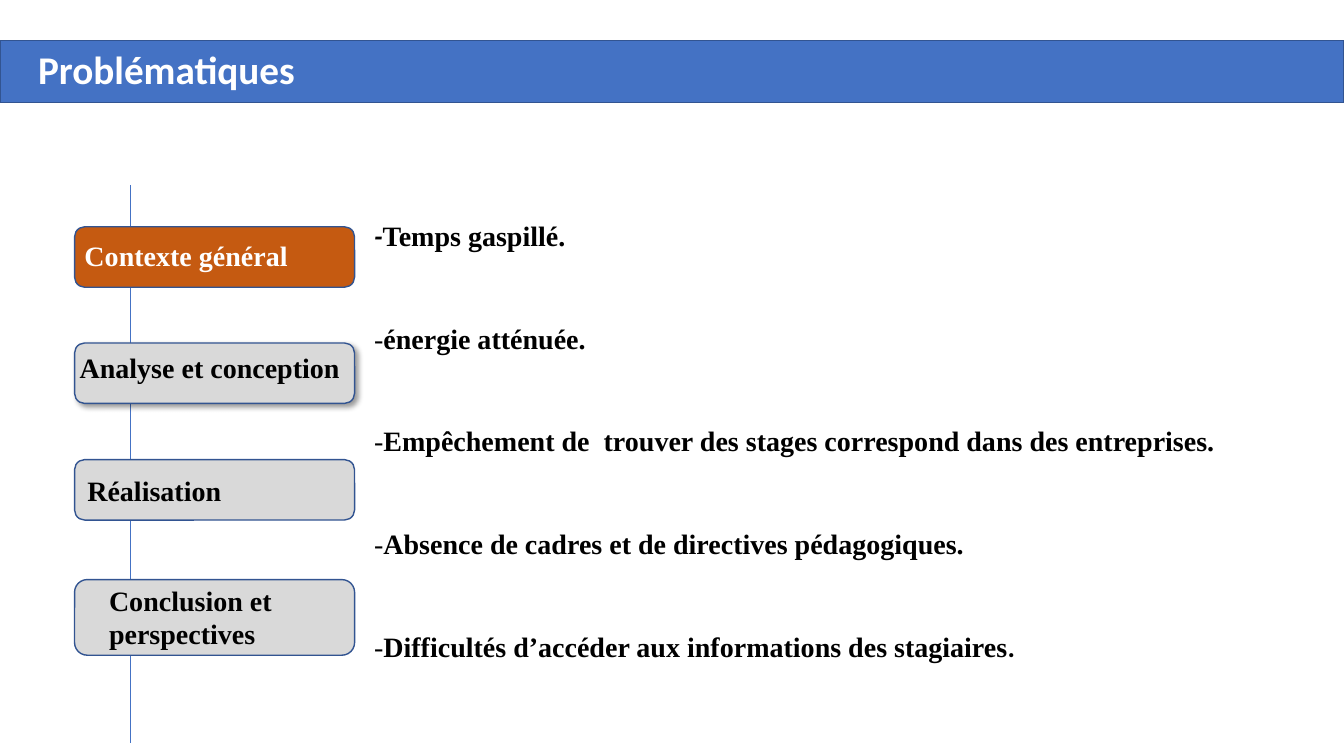
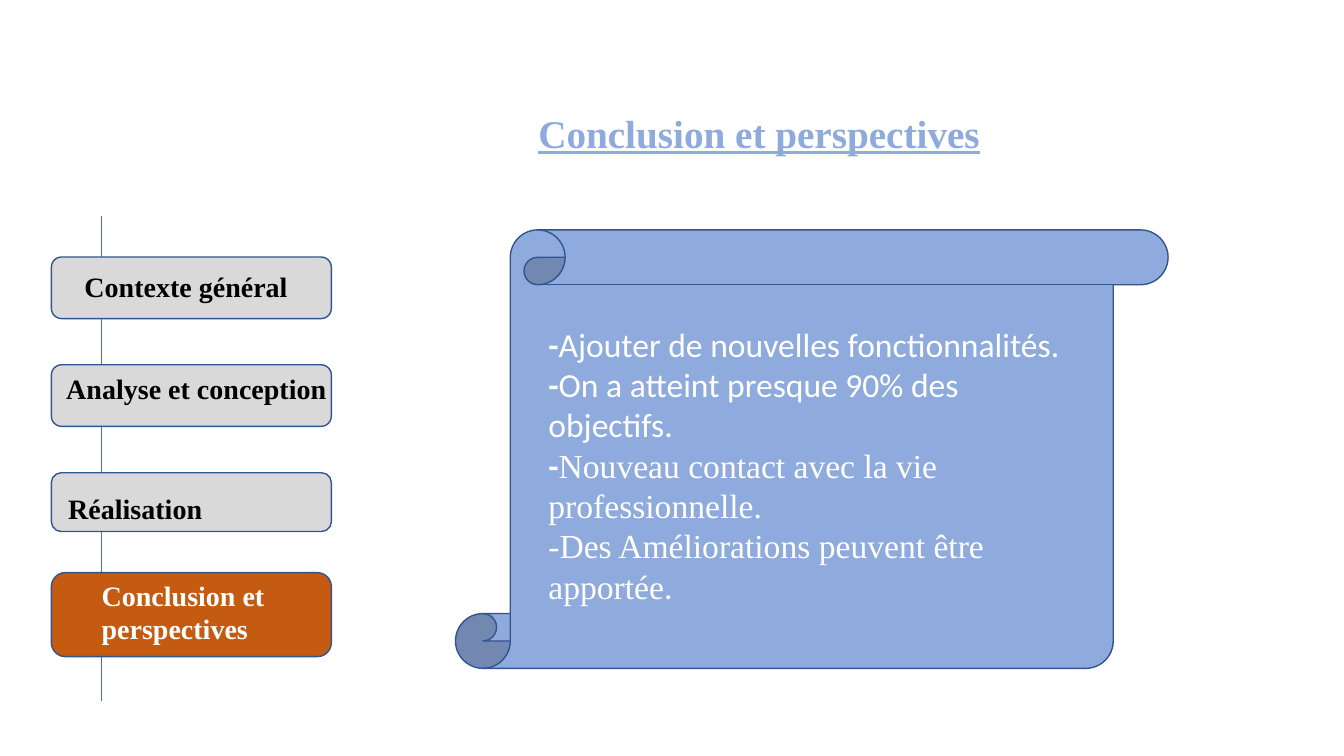
from lxml import etree
from pptx import Presentation
from pptx.dml.color import RGBColor
from pptx.enum.shapes import MSO_CONNECTOR, MSO_SHAPE
from pptx.enum.text import MSO_ANCHOR, MSO_AUTO_SIZE, PP_ALIGN
from pptx.oxml.ns import qn
from pptx.util import Pt

RECT = MSO_SHAPE.RECTANGLE
ROUND = MSO_SHAPE.ROUNDED_RECTANGLE
SCROLL = MSO_SHAPE.VERTICAL_SCROLL
LINE = MSO_CONNECTOR.STRAIGHT
TOP = MSO_ANCHOR.TOP
LEFT, JUST = PP_ALIGN.LEFT, PP_ALIGN.JUSTIFY
FIXED = MSO_AUTO_SIZE.NONE

BLUE = RGBColor(0x44, 0x72, 0xC4)
EDGE = RGBColor(0x32, 0x54, 0x91)
PALE = RGBColor(0x8F, 0xAA, 0xDC)
RUST = RGBColor(0xC5, 0x5A, 0x11)
GREY = RGBColor(0xD9, 0xD9, 0xD9)
WHITE = RGBColor(0xFF, 0xFF, 0xFF)
BLACK = RGBColor(0, 0, 0)
SANS, SERIF = "Calibri", "Times New Roman"
WIDE, HIGH = 960, 540

# Content: each list item is a row of runs (text, font, style)
STEPS = ["Contexte général", "Analyse et conception", "Réalisation",
         "Conclusion et perspectives"]
ISSUES = [
    [("-", SANS, "bi"), ("Temps gaspillé.", SERIF, "b")],
    [("-", SERIF, ""), ("énergie atténuée.", SERIF, "b")],
    [("-", SERIF, ""),
     ("Empêchement de  trouver des stages correspond dans des entreprises.",
      SERIF, "b")],
    [("-", SERIF, ""),
     ("Absence de cadres et de directives pédagogiques.", SERIF, "b")],
    [("-", SERIF, ""),
     ("Difficultés d’accéder aux informations des stagiaires", SERIF, "b"),
     (".", SANS, "bi")],
]
GOALS = [
    [("-", SANS, "b"), ("Ajouter de nouvelles fonctionnalités.", SANS, "")],
    [("-", SANS, "b"), ("On a atteint presque 90% des objectifs.", SANS, "")],
    [("-", SANS, "b"),
     ("Nouveau contact avec la vie professionnelle.", SERIF, "")],
    [("-Des Améliorations peuvent être apportée", SERIF, ""),
     (".", SANS, "")],
]

# Step menus: rail (x, top, end), left edge, active step, raised step,
# and for each step its top, height, left inset and top inset
MENU_A = dict(rail=(93, 132, 531), left=53.3, active=0, raised=1,
              rows=[(162, 43.2, 5, 6), (245, 43.2, 1.5, 3),
                    (328.3, 43.2, 7, 8), (414, 54, 22, 0)])
MENU_B = dict(rail=(72.7, 154, 501), left=36.7, active=3, raised=None,
              rows=[(183.6, 44, 21.5, 7), (260.6, 44, 8.5, 3),
                    (337.7, 42, 10, 11), (409, 60, 33, 1)])
STEP_W = 200


def place(shape, box):
    shape.left, shape.top, shape.width, shape.height = map(Pt, box)


def add_run(para, text, font, style, size, color):
    run = para.add_run()
    run.text = text
    face = run.font
    face.name, face.size = font, Pt(size)
    face.color.rgb = color
    face.bold, face.italic = "b" in style, "i" in style
    face.underline = "u" in style


def add_form(slide, kind, box, fill):
    form = slide.shapes.add_shape(kind, *map(Pt, box))
    form.shadow.inherit = False
    form.fill.solid()
    form.fill.fore_color.rgb = fill
    form.line.color.rgb = EDGE
    form.line.width = Pt(1)
    return form


def add_glow(form):
    """Give a shape a soft shadow to the lower right."""
    group = form.element.spPr.find(qn("a:effectLst"))
    shade = etree.SubElement(group, qn("a:outerShdw"), blurRad=str(Pt(4)),
                             dist=str(Pt(3)), dir="2700000", algn="tl")
    tint = etree.SubElement(shade, qn("a:srgbClr"), val="000000")
    etree.SubElement(tint, qn("a:alpha"), val="40000")


def add_menu(slide, rail, left, active, raised, rows):
    x, top, end = rail
    line = slide.shapes.add_connector(LINE, Pt(x), Pt(top), Pt(x), Pt(end))
    line.line.color.rgb = BLUE
    line.line.width = Pt(0.5)
    etree.SubElement(line.element.spPr, qn("a:effectLst"))
    for i, (step, row) in enumerate(zip(STEPS, rows)):
        y, high, dx, dy = row
        form = add_form(slide, ROUND, (left, y, STEP_W, high),
                        RUST if i == active else GREY)
        if i == raised:
            add_glow(form)
        frame = form.text_frame
        frame.word_wrap = True
        frame.vertical_anchor = TOP
        frame.margin_left, frame.margin_top = Pt(dx), Pt(dy)
        frame.margin_right = frame.margin_bottom = 0
        para = frame.paragraphs[0]
        para.alignment = LEFT
        add_run(para, step, SERIF, "b", 20, WHITE if i == active else BLACK)


def fill_text(shape, box, rows, size, color, align=LEFT, space=1, gap=0):
    """Move a placeholder to the front and write its paragraphs."""
    place(shape, box)
    shape.element.getparent().append(shape.element)
    frame = shape.text_frame
    frame.word_wrap = True
    frame.auto_size = FIXED
    frame.vertical_anchor = TOP
    for i, runs in enumerate(rows):
        para = frame.add_paragraph() if i else frame.paragraphs[0]
        para.alignment = align
        para.line_spacing = space
        para.space_before = Pt(gap if i else 0)
        props = para._p.get_or_add_pPr()
        props.set("marL", "0")
        props.set("indent", "0")
        etree.SubElement(props, qn("a:buNone"))
        for text, font, style in runs:
            add_run(para, text, font, style, size, color)


def main():
    deck = Presentation()
    deck.slide_width, deck.slide_height = Pt(WIDE), Pt(HIGH)
    layout = deck.slide_layouts[1]

    # Problems
    slide = deck.slides.add_slide(layout)
    title, body = slide.placeholders
    add_form(slide, RECT, (0, 28.8, WIDE, 44.6), BLUE)
    fill_text(title, (20, 28.8, 480, 41), [[("Problématiques", SANS, "b")]],
              28, WHITE)
    fill_text(body, (260, 140.4, 690, 334), ISSUES, 20, BLACK,
              JUST, 1.5, 37.4)
    add_menu(slide, **MENU_A)

    # Conclusion
    slide = deck.slides.add_slide(layout)
    title, body = slide.placeholders
    add_menu(slide, **MENU_B)
    fill_text(title, (377.3, 74.2, 480, 41), [[(STEPS[-1], SERIF, "bu")]],
              28, PALE)
    add_form(slide, SCROLL, (325.4, 164.2, 509, 313.2), PALE)
    fill_text(body, (384.5, 227.5, 388.8, 232.6), GOALS, 24, WHITE)

    deck.save("out.pptx")


if __name__ == "__main__":
    main()
